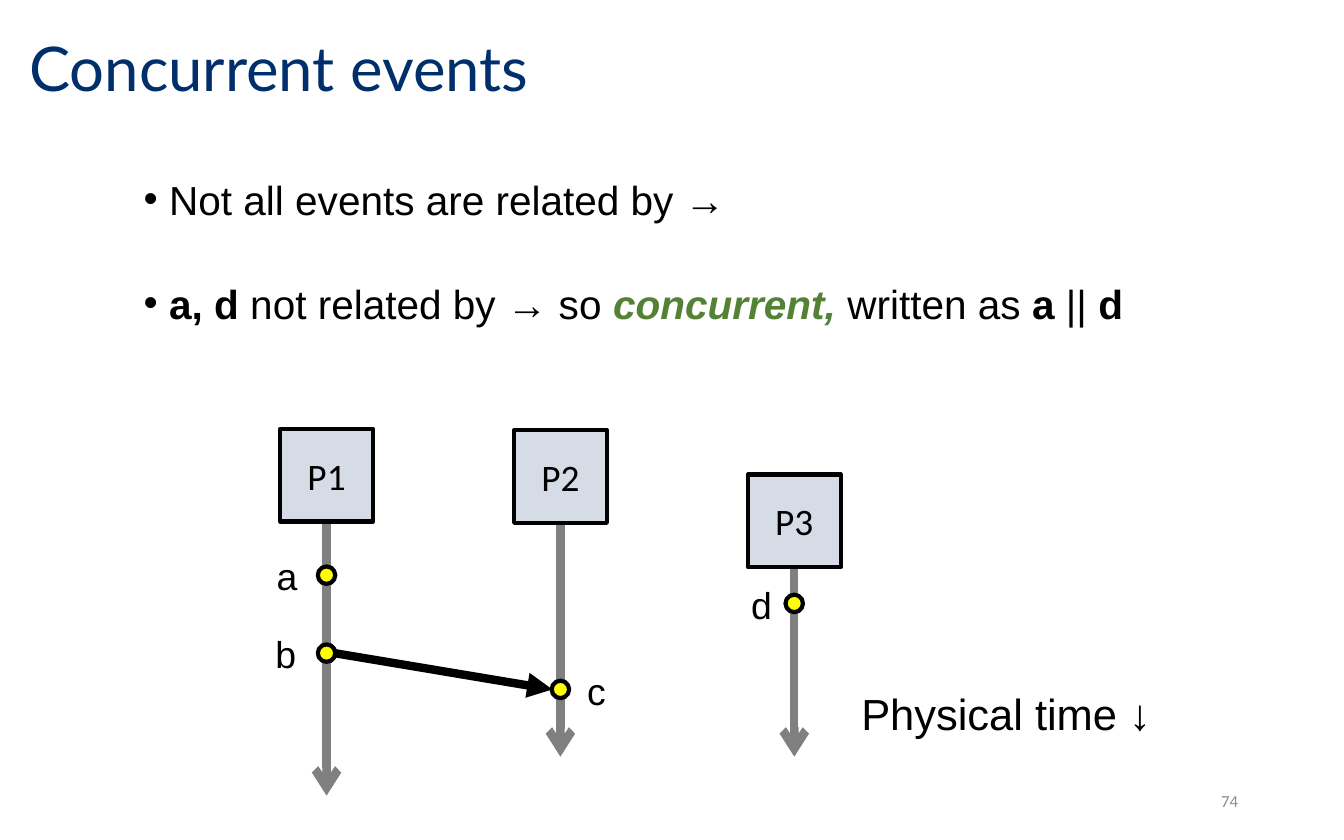
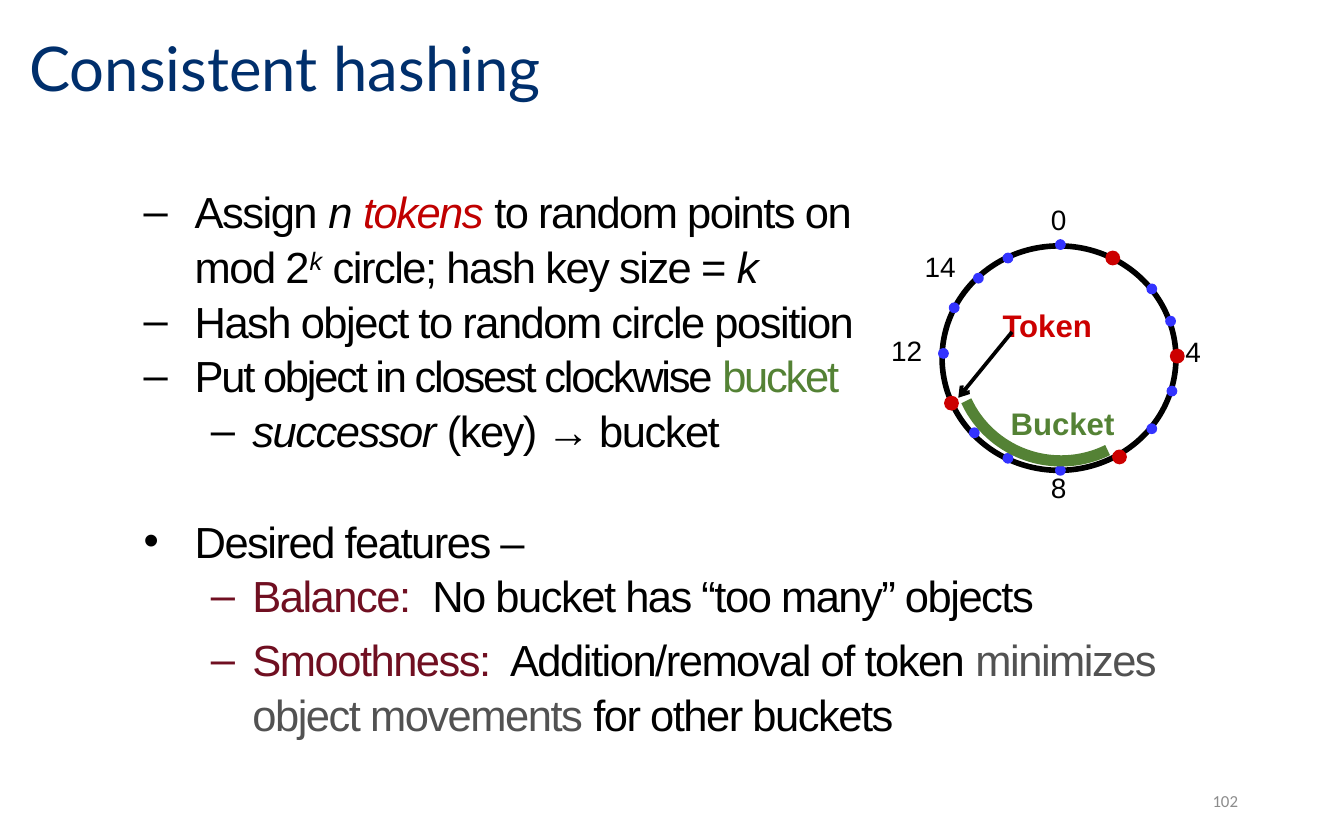
"""Builds two slides on distributed systems: concurrent events and consistent hashing."""
from lxml.etree import SubElement
from pptx import Presentation
from pptx.dml.color import RGBColor
from pptx.enum.shapes import MSO_CONNECTOR, MSO_SHAPE
from pptx.enum.text import MSO_ANCHOR, PP_ALIGN
from pptx.oxml.ns import qn
from pptx.util import Inches, Pt

BLACK = RGBColor(0x00, 0x00, 0x00)
NAVY = RGBColor(0x00, 0x2F, 0x6C)
PAGE_GRAY = RGBColor(0x8C, 0x8C, 0x8C)
LANE_GRAY = RGBColor(0x80, 0x80, 0x80)
DARK_GRAY = RGBColor(0x52, 0x52, 0x52)
PALE_BLUE = RGBColor(0xD6, 0xDC, 0xE5)
YELLOW = RGBColor(0xFF, 0xFF, 0x00)
GREEN = RGBColor(0x54, 0x82, 0x35)
BLUE = RGBColor(0x33, 0x33, 0xFF)
RED = RGBColor(0xCC, 0x00, 0x00)
DEEP_RED = RGBColor(0xC0, 0x00, 0x00)
MAROON = RGBColor(0x70, 0x0F, 0x21)

BOLD = {"bold": True}
ITALIC = {"italic": True}
TIGHT = {"spc": -80}
TIGHTER = {"spc": -120}

EVENT_BULLET = {"bullet": "•", "margin": 0.19, "hanging": 0.19, "line_spacing": 0.8}
POINT = {"bullet": "•", "margin": 0.38, "hanging": 0.38, "line_spacing": 1.05}
DASH = {**POINT, "bullet": "–"}
SUB_DASH = {**DASH, "margin": 0.81, "hanging": 0.31}
SPACED_DASH = {**SUB_DASH, "space_after": Pt(5)}

CONCURRENT_POINTS = [
    (EVENT_BULLET, [("Not all events are related by →", {})]),
    ({**EVENT_BULLET, "space_before": Pt(35)}, [
        ("a, d", BOLD), (" not related by → so ", {}),
        ("concurrent, ", {**BOLD, **ITALIC, "color": GREEN}),
        ("written as ", {}), ("a", BOLD), (" || ", {}), ("d", BOLD)]),
]
HASHING_POINTS = [
    (DASH, [("Assign ", TIGHT), ("n ", {**TIGHT, **ITALIC}),
            ("tokens ", {**TIGHT, **ITALIC, "color": DEEP_RED}),
            ("to random points on mod 2", TIGHT),
            ("k", {**TIGHT, **ITALIC, "baseline": 30000}),
            (" circle; hash key size = ", TIGHT), ("k", {**TIGHT, **ITALIC})]),
    (DASH, [("Hash object to random circle position", TIGHT)]),
    (DASH, [("Put object in closest clockwise ", TIGHTER),
            ("bucket", {**TIGHTER, "color": GREEN})]),
    (SUB_DASH, [("successor ", {**TIGHT, **ITALIC}), ("(key) → bucket", TIGHT)]),
]
FEATURE_POINTS = [
    (POINT, [("Desired features –", TIGHT)]),
    (SPACED_DASH, [("Balance: ", {**TIGHT, "color": MAROON}),
                   (" No bucket has “too many” objects", TIGHT)]),
    (SPACED_DASH, [("Smoothness:", {**TIGHT, "color": MAROON}),
                   ("  Addition/removal of token ", TIGHT),
                   ("minimizes object movements", {**TIGHT, "color": DARK_GRAY}),
                   (" for other buckets", TIGHT)]),
]

PROCESS_SIZE = 0.69
PROCESSES = [("P1", 2.43, 3.19, 5.92), ("P2", 4.17, 3.2, 5.63), ("P3", 5.91, 3.53, 5.63)]
EVENT_SIZE = 0.13
EVENTS = [("a", 2.43, 4.28, -0.47), ("b", 2.43, 4.86, -0.48),
          ("c", 4.17, 5.13, 0.1), ("d", 5.91, 4.49, -0.42)]

RING = (7.01, 1.83, 1.74, 1.67)
BUCKET_ARC = (7.12, 1.9, 1.55, 1.53)
BUCKET_ANGLES = (63.18, 155.76)
KEY_SIZE, TOKEN_SIZE = 0.07, 0.1
KEYS = [(7.89, 3.5), (7.89, 1.82), (7.02, 2.63), (7.25, 3.22), (8.57, 3.19), (7.28, 2.07),
        (8.57, 2.15), (7.5, 3.41), (7.1, 2.29), (7.5, 1.92), (8.72, 2.91), (8.71, 2.39)]
TOKENS = [(8.76, 2.65), (8.33, 3.4), (7.08, 3.0), (8.28, 1.92)]
RING_LABELS = [("0", 7.82, 1.51, 0.14), ("4", 8.82, 2.49, 0.14), ("8", 7.82, 3.5, 0.14),
               ("12", 6.63, 2.48, 0.39), ("14", 6.88, 1.86, 0.35)]
RING_CAPTIONS = [("Token", 7.46, 2.28, RED), ("Bucket", 7.52, 3.01, GREEN)]


def add_span(para, text, size, color=BLACK, name="Arial", spc=None, baseline=None, **font):
    span = para.add_run()
    span.text = text
    span.font.color.rgb = color
    for key, value in {"size": Pt(size), "name": name, **font}.items():
        setattr(span.font, key, value)
    for key, value in {"spc": spc, "baseline": baseline}.items():
        if value is not None:
            span.font._element.set(key, str(value))


def add_box(page, place, inset=None, wrap=True, anchor=MSO_ANCHOR.TOP):
    frame = page.shapes.add_textbox(*map(Inches, place)).text_frame
    frame.word_wrap = wrap
    frame.vertical_anchor = anchor
    if inset is not None:
        for side in ("left", "top", "right", "bottom"):
            setattr(frame, f"margin_{side}", Inches(inset))
    return frame


def add_label(page, text, place, size, color=BLACK, name="Arial", align=PP_ALIGN.LEFT,
              line_spacing=1.0, **box):
    para = add_box(page, place, **box).paragraphs[0]
    para.alignment = align
    para.line_spacing = line_spacing
    add_span(para, text, size, color, name)
    return para


def add_points(page, points, place, size):
    frame = add_box(page, place)
    for index, (style, spans) in enumerate(points):
        para = frame.add_paragraph() if index else frame.paragraphs[0]
        style = dict(style)
        properties = para._p.get_or_add_pPr()
        properties.set("marL", str(Inches(style.pop("margin"))))
        properties.set("indent", str(-Inches(style.pop("hanging"))))
        SubElement(properties, qn("a:buFont")).set("typeface", "Arial")
        SubElement(properties, qn("a:buChar")).set("char", style.pop("bullet"))
        for key, value in style.items():
            setattr(para, key, value)
        for text, font in spans:
            add_span(para, text, size, **font)


def add_figure(page, kind, place, fill, line, width):
    figure = page.shapes.add_shape(kind, *map(Inches, place))
    figure.shadow.inherit = False
    if fill is None:
        figure.fill.background()
    else:
        figure.fill.solid()
        figure.fill.fore_color.rgb = fill
    figure.line.color.rgb = line
    figure.line.width = Pt(width)
    return figure


def add_dot(page, x, y, size, fill, line, width):
    add_figure(page, MSO_SHAPE.OVAL, (x - size / 2, y - size / 2, size, size), fill, line, width)


def add_arrow(page, start, end, color, width, head):
    arrow = page.shapes.add_connector(MSO_CONNECTOR.STRAIGHT, *map(Inches, (*start, *end)))
    arrow.line.color.rgb = color
    arrow.line.width = Pt(width)
    SubElement(arrow.line._get_or_add_ln(), qn("a:tailEnd")).set("type", head)
    SubElement(arrow._element.spPr, qn("a:effectLst"))


def add_page(deck, title, number):
    page = deck.slides.add_slide(deck.slide_layouts[6])
    add_label(page, title, (0.12, 0.1, 8.52, 0.86), 33, NAVY, "Lato",
              line_spacing=0.9, anchor=MSO_ANCHOR.MIDDLE)
    add_label(page, number, (7.06, 5.79, 2.25, 0.33), 9, PAGE_GRAY, "Calibri",
              PP_ALIGN.RIGHT, anchor=MSO_ANCHOR.MIDDLE)
    return page


def build_concurrent_events(deck):
    page = add_page(deck, "Concurrent events", "74")
    add_points(page, CONCURRENT_POINTS, (0.97, 1.32, 7.99, 1.35), 21.7)
    for name, x, top, end in PROCESSES:
        add_arrow(page, (x, top + PROCESS_SIZE), (x, end), LANE_GRAY, 4.5, "arrow")
        process = add_figure(page, MSO_SHAPE.FLOWCHART_PROCESS,
                             (x - PROCESS_SIZE / 2, top, PROCESS_SIZE, PROCESS_SIZE),
                             PALE_BLUE, BLACK, 2.25)
        frame = process.text_frame
        frame.vertical_anchor = MSO_ANCHOR.MIDDLE
        frame.margin_left = frame.margin_right = Inches(0.08)
        frame.margin_top = frame.margin_bottom = Inches(0.04)
        frame.paragraphs[0].alignment = PP_ALIGN.CENTER
        add_span(frame.paragraphs[0], name, 20, name="Calibri")
    add_arrow(page, (2.49, 4.86), (4.11, 5.13), BLACK, 4.5, "triangle")
    for name, x, y, offset in EVENTS:
        add_dot(page, x, y, EVENT_SIZE, YELLOW, BLACK, 2.25)
        add_label(page, name, (x + offset, y - 0.21, 0.36, 0.44), 20, wrap=False)
    add_label(page, "Physical time ↓", (6.31, 5.06, 2.38, 0.49), 23.3, wrap=False)


def build_consistent_hashing(deck):
    page = add_page(deck, "Consistent hashing", "102")
    add_figure(page, MSO_SHAPE.OVAL, RING, None, BLACK, 3)
    for centers, size, color in ((KEYS, KEY_SIZE, BLUE), (TOKENS, TOKEN_SIZE, RED)):
        for x, y in centers:
            add_dot(page, x, y, size, color, color, 0.75)
    for text, left, top, width in RING_LABELS:
        add_label(page, text, (left, top, width, 0.25), 15, inset=0)
    for text, left, top, color in RING_CAPTIONS:
        para = add_label(page, text, (left, top, 0.83, 0.28), 16.7, color, inset=0)
        para.runs[0].font.bold = True
    add_arrow(page, (7.53, 2.47), (7.13, 2.96), BLACK, 2, "arrow")
    add_points(page, HASHING_POINTS, (0.97, 1.31, 5.75, 2.44), 23.3)
    add_points(page, FEATURE_POINTS, (0.97, 3.76, 7.78, 1.98), 23.3)
    bucket = add_figure(page, MSO_SHAPE.ARC, BUCKET_ARC, None, GREEN, 6)
    for index, angle in enumerate(BUCKET_ANGLES):
        bucket.adjustments[index] = angle * 0.6


def main():
    deck = Presentation()
    deck.slide_width = Inches(10)
    deck.slide_height = Inches(6.25)
    build_concurrent_events(deck)
    build_consistent_hashing(deck)
    deck.save("out.pptx")


if __name__ == "__main__":
    main()
